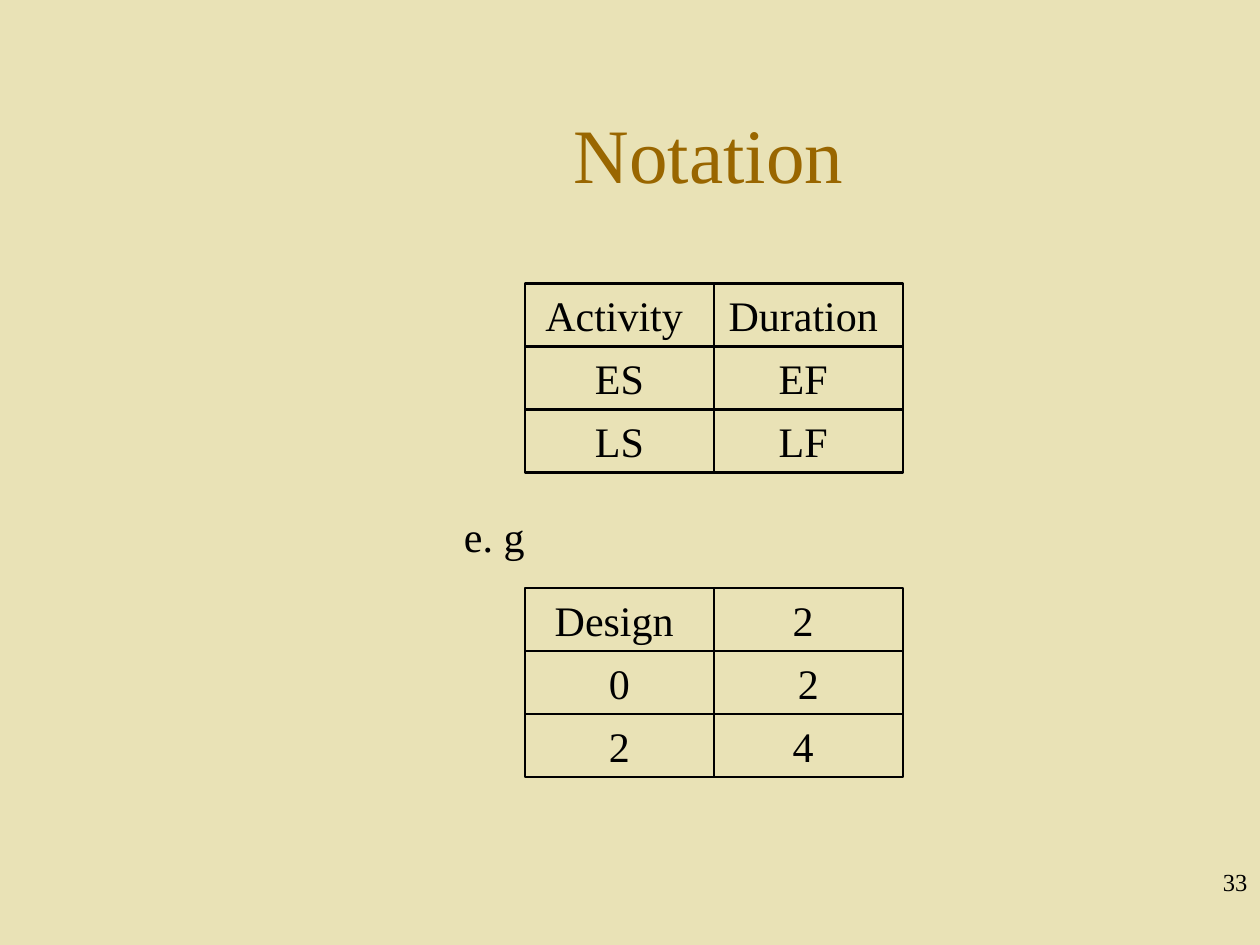
from dataclasses import dataclass

from pptx import Presentation
from pptx.dml.color import RGBColor
from pptx.enum.shapes import MSO_SHAPE
from pptx.enum.text import MSO_ANCHOR, MSO_AUTO_SIZE, PP_ALIGN
from pptx.shapes.base import BaseShape
from pptx.shapes.group import GroupShape
from pptx.slide import Slide
from pptx.util import Inches, Pt

UNIT = Inches(1) // 12  # the slide is a grid of 120 columns by 90 rows
CELL_COLUMNS, CELL_ROWS = 18, 6


@dataclass(frozen=True)
class Theme:
    background: RGBColor = RGBColor(0xE9, 0xE2, 0xB6)
    title: RGBColor = RGBColor(0x99, 0x66, 0x00)
    ink: RGBColor = RGBColor(0x00, 0x00, 0x00)
    font: str = "Times New Roman"
    title_size: float = 44
    body_size: float = 24
    number_size: float = 14
    line_width: float = 1.5


THEME = Theme()


@dataclass(frozen=True)
class Box:
    column: int
    row: int
    columns: int
    rows: int

    def lengths(self) -> tuple[int, ...]:
        return tuple(UNIT * count for count in (self.column, self.row, self.columns, self.rows))


@dataclass(frozen=True)
class TextStyle:
    size: float = THEME.body_size
    color: RGBColor = THEME.ink
    alignment: PP_ALIGN = PP_ALIGN.LEFT
    anchor: MSO_ANCHOR = MSO_ANCHOR.TOP
    space_before: float = 15
    auto_size: MSO_AUTO_SIZE = MSO_AUTO_SIZE.NONE


@dataclass(frozen=True)
class Label:
    text: str
    box: Box
    style: TextStyle


@dataclass(frozen=True)
class ActivityNode:
    column: int
    row: int
    cells: tuple[tuple[str, str], ...]


CELL_STYLE = TextStyle(alignment=PP_ALIGN.CENTER, auto_size=MSO_AUTO_SIZE.SHAPE_TO_FIT_TEXT)

LABELS = (
    Label("Notation", Box(18, 7, 99, 15),
          TextStyle(THEME.title_size, THEME.title, PP_ALIGN.CENTER, MSO_ANCHOR.MIDDLE, 0)),
    Label("e. g", Box(43, 48, 9, 6), TextStyle(auto_size=MSO_AUTO_SIZE.SHAPE_TO_FIT_TEXT)),
    Label("33", Box(95, 82, 25, 6),
          TextStyle(THEME.number_size, alignment=PP_ALIGN.RIGHT, space_before=8.8)),
)

NODES = (
    ActivityNode(50, 27, (("Activity ", "Duration "), ("ES", "EF "), ("LS", "LF "))),
    ActivityNode(50, 56, (("Design ", "2 "), ("0", "2"), ("2", "4 "))),
)


def set_attributes(target: object, values: dict[str, object]) -> None:
    for name, value in values.items():
        setattr(target, name, value)


def write_text(shape: BaseShape, text: str, style: TextStyle) -> None:
    frame = shape.text_frame
    set_attributes(frame, {"word_wrap": True, "auto_size": style.auto_size,
                           "vertical_anchor": style.anchor})
    paragraph = frame.paragraphs[0]
    set_attributes(paragraph, {"alignment": style.alignment,
                               "space_before": Pt(style.space_before)})
    run = paragraph.add_run()
    run.text = text
    set_attributes(run.font, {"name": THEME.font, "size": Pt(style.size)})
    run.font.color.rgb = style.color


def draw_label(slide: Slide, label: Label) -> None:
    shape = slide.shapes.add_textbox(*label.box.lengths())
    write_text(shape, label.text, label.style)


def draw_cell(group: GroupShape, box: Box, text: str) -> None:
    shape = group.shapes.add_shape(MSO_SHAPE.RECTANGLE, *box.lengths())
    shape.shadow.inherit = False
    shape.fill.background()
    shape.line.color.rgb = THEME.ink
    shape.line.width = Pt(THEME.line_width)
    write_text(shape, text, CELL_STYLE)


def draw_node(slide: Slide, node: ActivityNode) -> None:
    group = slide.shapes.add_group_shape()
    for row, texts in enumerate(node.cells):
        for column, text in enumerate(texts):
            box = Box(node.column + column * CELL_COLUMNS, node.row + row * CELL_ROWS,
                      CELL_COLUMNS, CELL_ROWS)
            draw_cell(group, box, text)


def main() -> None:
    presentation = Presentation()
    set_attributes(presentation, {"slide_width": 120 * UNIT, "slide_height": 90 * UNIT})
    slide = presentation.slides.add_slide(presentation.slide_layouts[6])
    slide.background.fill.solid()
    slide.background.fill.fore_color.rgb = THEME.background
    for node in NODES:
        draw_node(slide, node)
    for label in LABELS:
        draw_label(slide, label)
    presentation.save("out.pptx")


if __name__ == "__main__":
    main()
